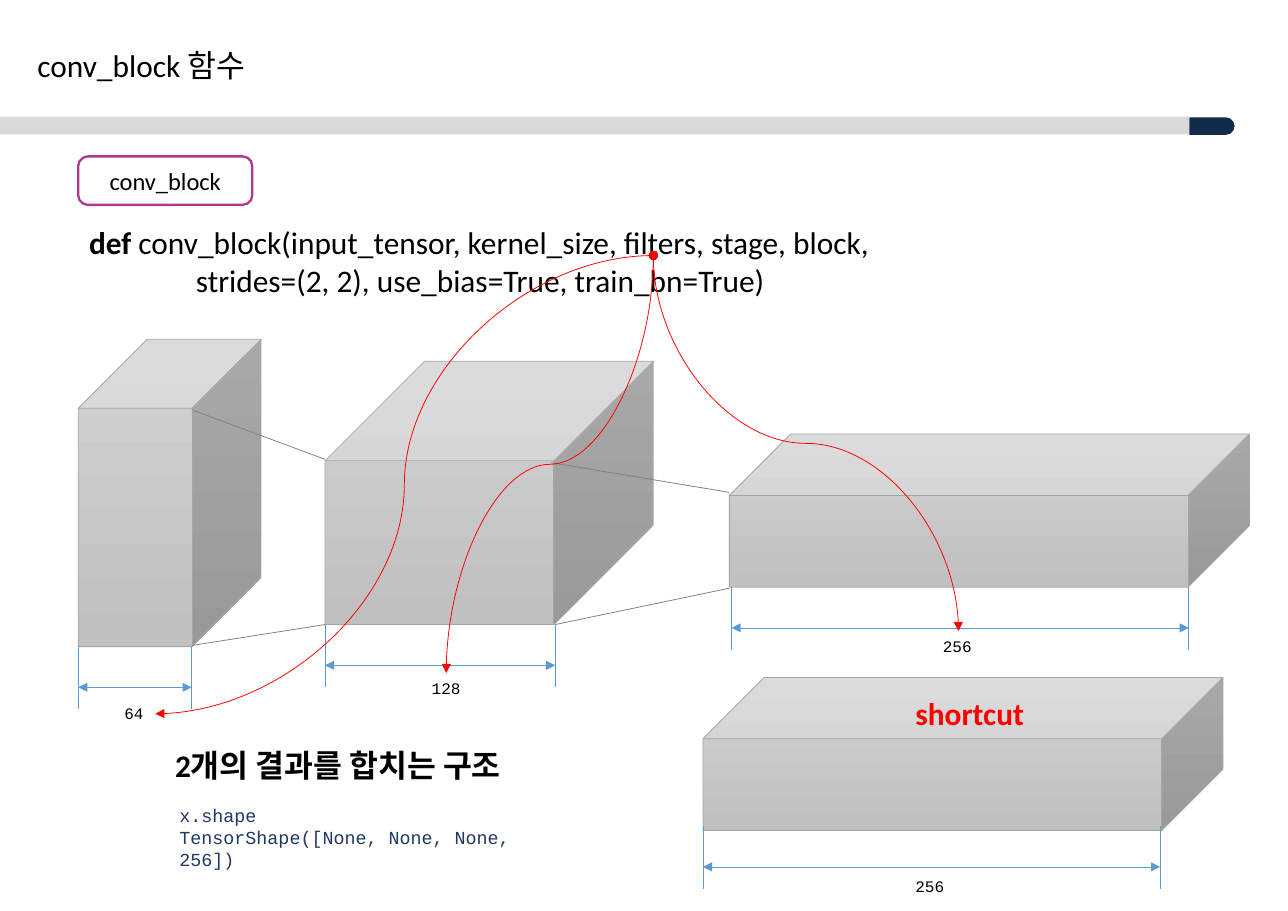
from dataclasses import dataclass

from lxml.etree import SubElement
from pptx import Presentation
from pptx.dml.color import RGBColor
from pptx.enum.shapes import MSO_CONNECTOR as CONN, MSO_SHAPE as SHAPE
from pptx.enum.text import MSO_ANCHOR as ANCHOR, MSO_AUTO_SIZE as AUTO, PP_ALIGN as ALIGN
from pptx.oxml.ns import qn
from pptx.util import Inches, Pt


@dataclass(frozen=True)
class Theme:
    body: str = "Calibri"
    mono: str = "Courier New"
    heading: float = 20.5
    tag: float = 16
    code: float = 12
    label: float = 10.5
    thin: float = 0.5
    black: str = "000000"
    white: str = "FFFFFF"
    red: str = "FF0000"
    navy: str = "102B4C"
    ink: str = "203864"
    bar: str = "D9D9D9"
    purple: str = "AF3790"
    blue: str = "5B9BD5"
    gray: str = "808080"
    edge: str = "A5A5A5"
    cube_top: str = "D2D2D2"
    cube_bottom: str = "C0C0C0"


T = Theme()
rgb = RGBColor.from_string


def write(p, text, size=T.heading, font=T.body, color=T.black, bold=False):
    r = p.add_run()
    r.text = text
    f = r.font
    f.size, f.name, f.bold = Pt(size), font, bold
    f.color.rgb = rgb(color)


class Canvas:
    def __init__(self, slide, theme):
        self.s, self.t = slide, theme

    def shape(self, kind, box, fill=None, line=None, width=T.thin, adj=()):
        """Add a preset shape; without a fill colour it gets the cube gradient."""
        sp = self.s.shapes.add_shape(kind, *map(Inches, box))
        sp.shadow.inherit = False
        for i, value in enumerate(adj):
            sp.adjustments[i] = value
        if fill:
            sp.fill.solid()
            sp.fill.fore_color.rgb = rgb(fill)
        else:
            sp.fill.gradient()
            sp.fill.gradient_angle = 270
            shades = (self.t.cube_top, self.t.cube_bottom)
            for stop, shade in zip(sp.fill.gradient_stops, shades):
                stop.color.rgb = rgb(shade)
        if line:
            sp.line.color.rgb = rgb(line)
            sp.line.width = Pt(width)
        else:
            sp.line.fill.background()
        return sp

    def cube(self, box, depth):
        self.shape(SHAPE.CUBE, box, line=self.t.edge, adj=[depth])

    def text(self, box, *lines, wrap=False, **fmt):
        """Add a text box with one paragraph per line and return its paragraphs."""
        tf = self.s.shapes.add_textbox(*map(Inches, box)).text_frame
        tf.word_wrap = wrap
        tf.auto_size = AUTO.SHAPE_TO_FIT_TEXT
        for i, line in enumerate(lines):
            p = tf.add_paragraph() if i else tf.paragraphs[0]
            if line:
                write(p, line, **fmt)
        return tf.paragraphs

    def line(self, start, end, color, head=None, tail=None, kind=CONN.STRAIGHT):
        c = self.s.shapes.add_connector(kind, *map(Inches, (*start, *end)))
        c.line.color.rgb = rgb(color)
        c.line.width = Pt(self.t.thin)
        ln = c.line._ln
        for tag, end_type in (("a:headEnd", head), ("a:tailEnd", tail)):
            if end_type:
                SubElement(ln, qn(tag), type=end_type)
        SubElement(c._element.spPr, qn("a:effectLst"))
        return c

    def curve(self, start, end, upright=True):
        """Draw a red S-curve; an upright one leaves its start vertically."""
        (x1, y1), (x2, y2) = start, end
        rightward = x2 > x1
        if upright:
            cx, cy = (x1 + x2) / 2, (y1 + y2) / 2
            half_w, half_h = (y2 - y1) / 2, abs(x2 - x1) / 2
            if rightward:
                half_w = -half_w
            start, end = (cx - half_w, cy - half_h), (cx + half_w, cy + half_h)
        c = self.line(start, end, self.t.red, "oval", "triangle", CONN.CURVE)
        if upright:
            angle = 270 if rightward else 90
            c._element.spPr.find(qn("a:xfrm")).set("rot", str(angle * 60000))

    def dimension(self, left, right, top, label, label_at):
        """Draw two extension lines, the double arrow between them and its label."""
        for x in (left, right):
            self.line((x, top), (x, top + 0.57), self.t.blue)
        y = top + 0.37
        self.line((left, y), (right, y), self.t.blue, "triangle", "triangle")
        width = 0.38 if len(label) == 2 else 0.47
        self.text((*label_at, width, 0.28), label, size=self.t.label, font=self.t.mono)


def draw_header(cv):
    cv.shape(SHAPE.ROUND_2_SAME_RECTANGLE, (10.92, 0.94, 0.16, 0.41), T.navy,
             adj=[0.5, 0]).rotation = 90
    cv.shape(SHAPE.RECTANGLE, (0, 1.06, 10.79, 0.16), T.bar)
    cv.text((0.24, 0.37, 2.15, 0.45), "conv_block 함수")

    tag = cv.shape(SHAPE.ROUNDED_RECTANGLE, (0.71, 1.42, 1.58, 0.44), T.white,
                   T.purple, 1.5, [0.198])
    tag.text_frame.vertical_anchor = ANCHOR.MIDDLE
    p = tag.text_frame.paragraphs[0]
    p.alignment = ALIGN.CENTER
    write(p, "conv_block", size=T.tag)

    signature, options = cv.text((0.71, 1.98, 7.37, 0.79), "",
                                 "strides=(2, 2), use_bias=True, train_bn=True)")
    write(signature, "def", bold=True)
    write(signature, " conv_block(input_tensor, kernel_size, filters, stage, block,")
    options._p.get_or_add_pPr().set("marL", str(Inches(0.97)))


def draw_diagram(cv):
    for box, depth in (
        ((2.95, 3.28, 2.98, 2.39), 0.378),
        ((6.62, 3.94, 4.72, 1.39), 0.401),
        ((0.71, 3.08, 1.66, 2.79), 0.378),
        ((6.38, 6.15, 4.72, 1.39), 0.401),
    ):
        cv.cube(box, depth)

    for dim in (
        (0.71, 1.74, 5.87, "64", (1.03, 6.34)),
        (2.95, 5.04, 5.67, "128", (3.82, 6.11)),
        (6.64, 10.79, 5.33, "256", (8.46, 5.73)),
        (6.38, 10.53, 7.5, "256", (8.21, 7.91)),
    ):
        cv.dimension(*dim)

    for start, end in (
        ((1.74, 3.72), (2.95, 4.17)),
        ((5, 4.2), (6.62, 4.47)),
        ((5.04, 5.67), (6.62, 5.34)),
        ((1.74, 5.86), (2.95, 5.67)),
    ):
        cv.line(start, end, T.gray)

    cv.text((8.21, 6.25, 1.2, 0.45), "shortcut", color=T.red, bold=True)
    cv.text((1.49, 6.72, 3.42, 0.45), "2개의 결과를 합치는 구조", bold=True)
    cv.text((1.53, 7.25, 3.49, 0.5), "x.shape", "TensorShape([None, None, None, 256])",
            wrap=True, size=T.code, font=T.mono, color=T.ink)

    filters = (5.93, 2.32)
    cv.curve(filters, (1.41, 6.48), upright=False)
    cv.curve(filters, (4.05, 6.11))
    cv.curve(filters, (8.7, 5.73))


def main():
    prs = Presentation()
    prs.slide_width, prs.slide_height = Inches(11.69), Inches(8.27)
    cv = Canvas(prs.slides.add_slide(prs.slide_layouts[6]), T)
    draw_header(cv)
    draw_diagram(cv)
    prs.save("out.pptx")


if __name__ == "__main__":
    main()
